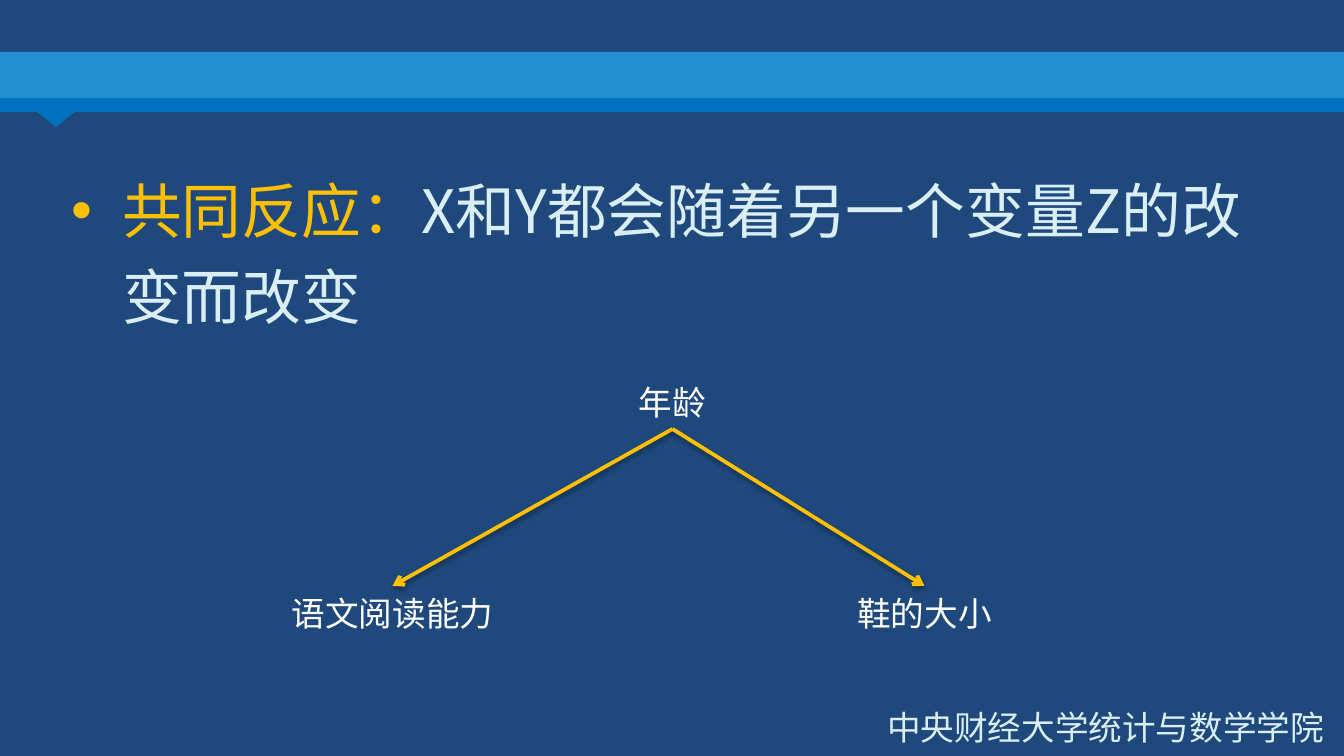
from lxml import etree
from pptx import Presentation, util as u
from pptx.dml.color import RGBColor
from pptx.enum import shapes, text
from pptx.oxml import parse_xml
from pptx.oxml.ns import qn, nsdecls

PX = 914400 / 134.4
NAVY = RGBColor(0x1F, 0x49, 0x7D)
BLUE = RGBColor(0x00, 0x71, 0xC0)
SKY = RGBColor(0x23, 0x90, 0xD1)
PALE = RGBColor(0xDA, 0xEF, 0xF5)
GOLD = RGBColor(0xFF, 0xC0, 0x00)
WHITE = RGBColor(0xFF, 0xFF, 0xFF)
CJK = "Noto Sans CJK SC"
ALIGN = text.PP_ALIGN


def box(*rect):
    return [round(v * PX) for v in rect]


def add_text(rect, runs, size, font, align):
    sp = s.shapes.add_textbox(*box(*rect))
    tf = sp.text_frame
    tf.word_wrap = True
    p = tf.paragraphs[0]
    p.alignment = align
    for words, color in runs:
        r = p.add_run()
        r.text = words
        r.font.size = u.Pt(size)
        r.font.name = font
        r.font.color.rgb = color
        etree.SubElement(r.font._element, qn("a:ea")).set("typeface", CJK)
    return sp


prs = Presentation()
prs.slide_width, prs.slide_height = box(1344, 756)
s = prs.slides.add_slide(prs.slide_layouts[6])
s.background.fill.solid()
s.background.fill.fore_color.rgb = NAVY

KIND = shapes.MSO_SHAPE
for kind, rect, color in [
    (KIND.ISOSCELES_TRIANGLE, (37, 112, 38, 15), BLUE),
    (KIND.RECTANGLE, (0, 52, 1344, 47), SKY),
    (KIND.RECTANGLE, (0, 98, 1344, 14), BLUE),
]:
    sp = s.shapes.add_shape(kind, *box(*rect))
    sp.shadow.inherit = False
    sp.fill.solid()
    sp.fill.fore_color.rgb = color
    sp.line.fill.background()
    if kind == KIND.ISOSCELES_TRIANGLE:
        sp._element.spPr.xfrm.set("flipV", "1")

add_text((782, 700, 555, 54), [("中央财经大学统计与数学学院", PALE)], 18, CJK, ALIGN.RIGHT)

body = add_text(
    (58, 153, 1210, 562),
    [("共同反应：", GOLD), ("X和Y都会随着另一个变量Z的改变而改变", PALE)],
    32, CJK, ALIGN.LEFT,
)
p = body.text_frame.paragraphs[0]
pPr = p._p.get_or_add_pPr()
pPr.set("marL", str(box(51)[0]))
pPr.set("indent", str(box(-51)[0]))
etree.SubElement(pPr, qn("a:buFont")).set("typeface", "Arial")
etree.SubElement(pPr, qn("a:buChar")).set("char", "•")
p.line_spacing = 1.2

cause, reading, shoe = [
    add_text((x, y, 293, 54), [(words, WHITE)], 18, "Calibri", ALIGN.CENTER)
    for words, x, y in [("年龄", 526, 375), ("语文阅读能力", 246, 586), ("鞋的大小", 778, 586)]
]

for effect in (reading, shoe):
    c = s.shapes.add_connector(shapes.MSO_CONNECTOR.STRAIGHT, 0, 0, 0, 0)
    c.begin_connect(cause, 2)
    c.end_connect(effect, 0)
    c.line.color.rgb = GOLD
    c.line.width = u.Pt(2)
    etree.SubElement(c.line._get_or_add_ln(), qn("a:tailEnd")).set("type", "arrow")
    c._element.spPr.append(parse_xml(
        f'<a:effectLst {nsdecls("a")}>'
        '<a:outerShdw blurRad="39370" dist="20320" dir="5400000" rotWithShape="0">'
        '<a:srgbClr val="000000"><a:alpha val="38000"/></a:srgbClr>'
        '</a:outerShdw></a:effectLst>'
    ))

prs.save("out.pptx")
